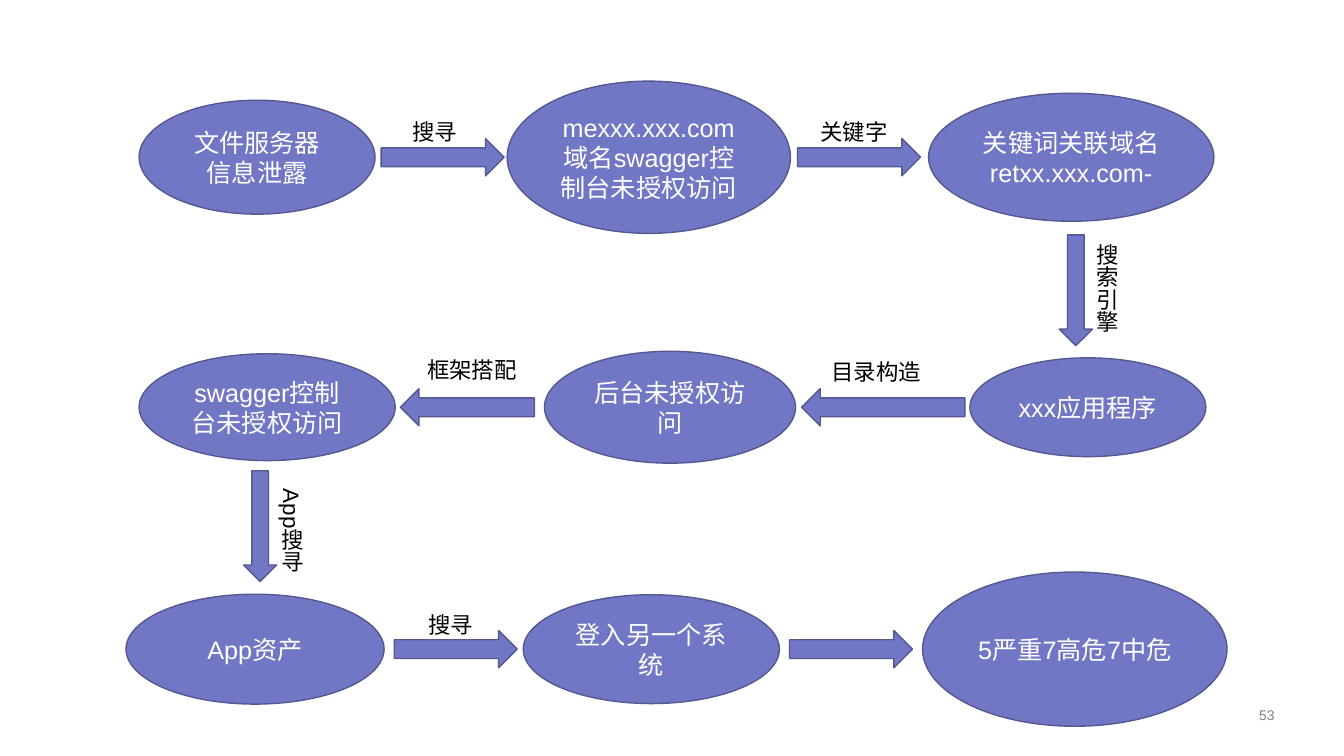
from pptx import Presentation
from pptx.dml.color import RGBColor
from pptx.enum import shapes, text
from pptx.util import Inches, Pt

THEME = {
    "font": "Arial", "fill": "7277C5", "line": "545892",
    "light": "FFFFFF", "dark": "000000", "grey": "808080",
    "node": 18, "label": 16, "page": 10,
}

# Each row: centre line, nodes (text, left, width, height),
# arrows (left, length, turn), labels (text, left, top, width)
ROWS = [
    (1.56,
     [("文件服务器信息泄露", 1.38, 2.34, 1.13),
      ("mexxx.xxx.com域名swagger控制台未授权访问", 5.03, 2.81, 1.51),
      ("关键词关联域名retxx.xxx.com-", 9.21, 2.83, 1.27)],
     [(3.78, 1.22, 0), (7.91, 1.22, 0)],
     [("搜寻", 3.99, 1.12, 0.65), ("关键字", 8.04, 1.12, 0.88)]),
    (4.04,
     [("swagger控制台未授权访问", 1.38, 2.54, 1.06),
      ("后台未授权访问", 5.4, 2.49, 1.11),
      ("xxx应用程序", 9.62, 2.34, 0.98)],
     [(7.95, 1.62, 180), (3.97, 1.33, 180)],
     [("目录构造", 8.15, 3.5, 1.1), ("框架搭配", 4.14, 3.48, 1.1)]),
    (6.44,
     [("App资产", 1.25, 2.56, 1.09),
      ("登入另一个系统", 5.19, 2.54, 1.08),
      ("5严重7高危7中危", 9.15, 3.02, 1.53)],
     [(3.91, 1.22, 0), (7.83, 1.22, 0)],
     [("搜寻", 4.15, 6.01, 0.65)]),
]
# Steps down between rows: arrow left, centre line, label text, left, top, height
DROPS = [
    (10.12, 2.88, "搜索引擎", 10.69, 2.32, 1),
    (2.03, 5.22, "App搜寻", 2.61, 4.75, 0.95),
]
PAGE = "53"

deck = Presentation()
deck.slide_width, deck.slide_height = Inches(13.33), Inches(7.5)
slide = deck.slides.add_slide(deck.slide_layouts[6])


def color(name):
    return RGBColor.from_string(THEME[name])


def write(frame, words, size, ink, align):
    para = frame.paragraphs[0]
    para.alignment = align
    run = para.add_run()
    run.text = words
    run.font.name = THEME["font"]
    run.font.size = Pt(THEME[size])
    run.font.color.rgb = color(ink)


def shape(kind, left, mid, width, height):
    item = slide.shapes.add_shape(
        kind, Inches(left), Inches(mid - height / 2), Inches(width), Inches(height))
    item.shadow.inherit = False
    item.fill.solid()
    item.fill.fore_color.rgb = color("fill")
    item.line.color.rgb = color("line")
    item.line.width = Pt(1)
    return item


def node(words, left, mid, width, height):
    frame = shape(shapes.MSO_SHAPE.OVAL, left, mid, width, height).text_frame
    frame.word_wrap = True
    frame.vertical_anchor = text.MSO_ANCHOR.MIDDLE
    write(frame, words, "node", "light", text.PP_ALIGN.CENTER)


def arrow(left, mid, length, turn, height=0.37):
    shape(shapes.MSO_SHAPE.RIGHT_ARROW, left, mid, length, height).rotation = turn


def label(words, left, top, width, height=0.37, upright=False):
    box = slide.shapes.add_textbox(
        Inches(left), Inches(top), Inches(width), Inches(height))
    frame = box.text_frame
    frame.word_wrap = False
    frame.auto_size = text.MSO_AUTO_SIZE.SHAPE_TO_FIT_TEXT
    if upright:
        frame._txBody.bodyPr.set("vert", "eaVert")
    write(frame, words, "label", "dark", text.PP_ALIGN.LEFT)


# Rows of the chain
for mid, nodes, arrows, labels in ROWS:
    for words, left, width, height in nodes:
        node(words, left, mid, width, height)
    for left, length, turn in arrows:
        arrow(left, mid, length, turn)
    for part in labels:
        label(*part)

# Steps down from row to row
for left, mid, words, side, top, height in DROPS:
    arrow(left, mid, 1.1, 90, 0.33)
    label(words, side, top, 0.47, height, upright=True)

# Page number
page = slide.shapes.add_textbox(
    Inches(9.56), Inches(6.98), Inches(3.18), Inches(0.23)).text_frame
page.word_wrap = True
page.vertical_anchor = text.MSO_ANCHOR.MIDDLE
write(page, PAGE, "page", "grey", text.PP_ALIGN.RIGHT)

deck.save("out.pptx")
